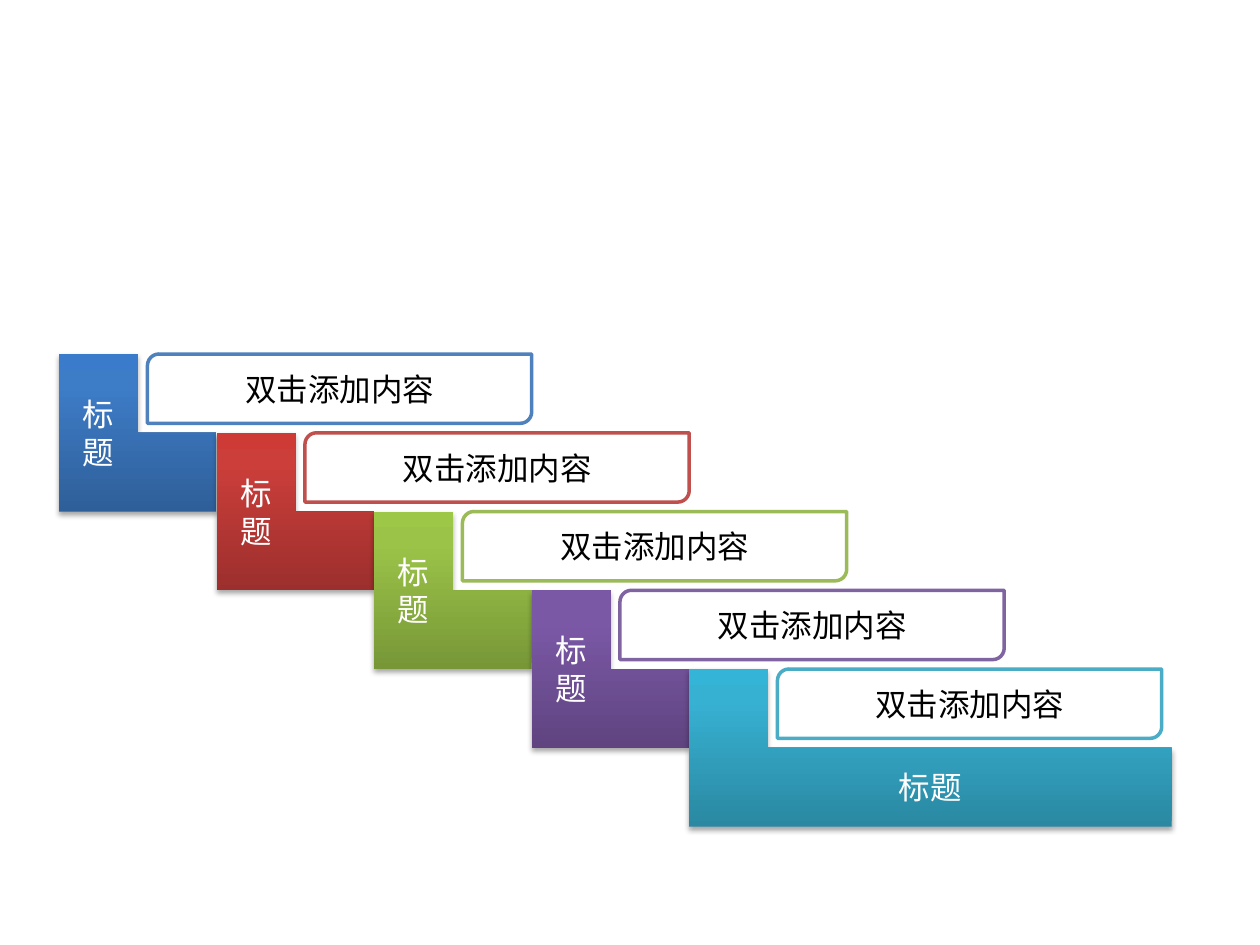
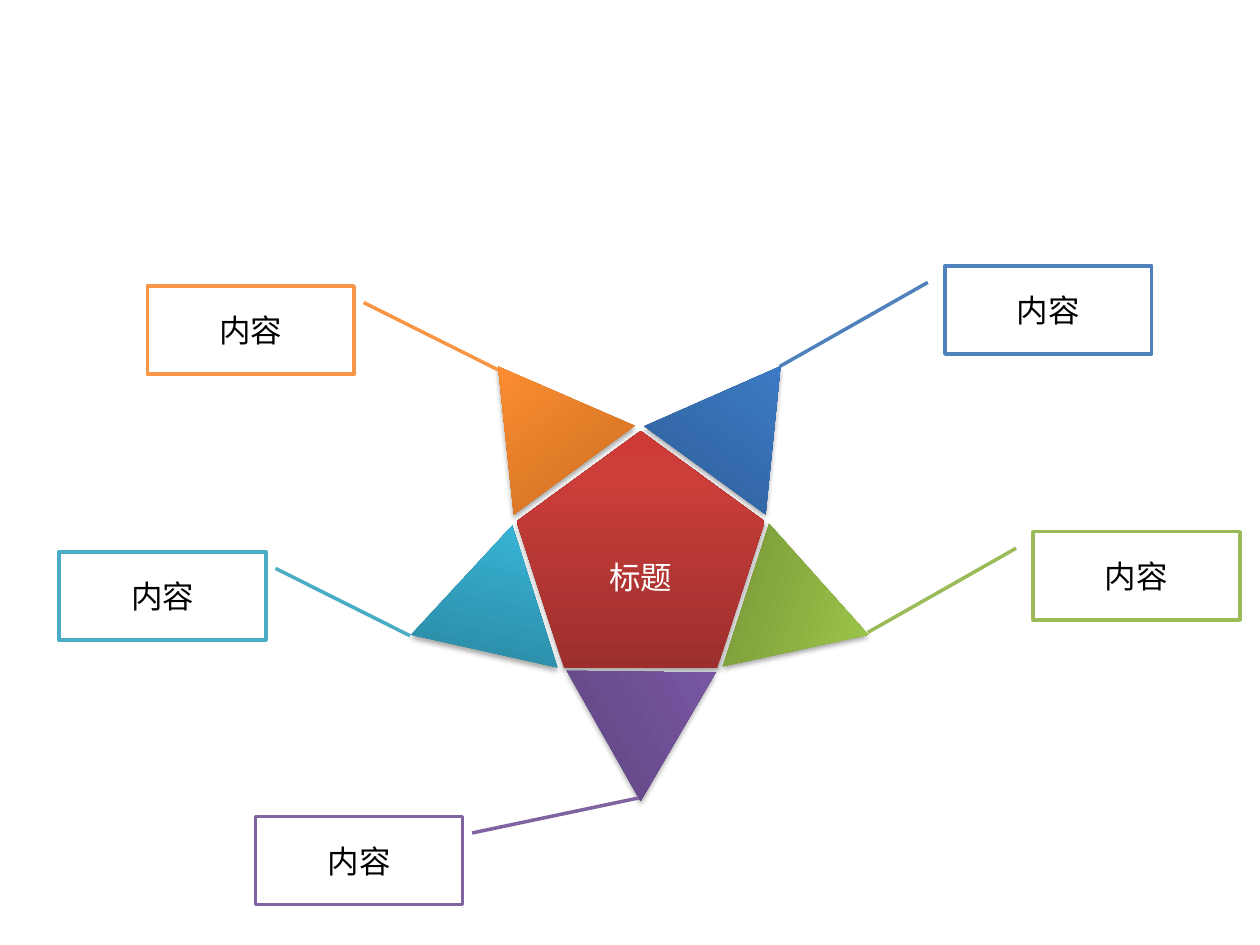
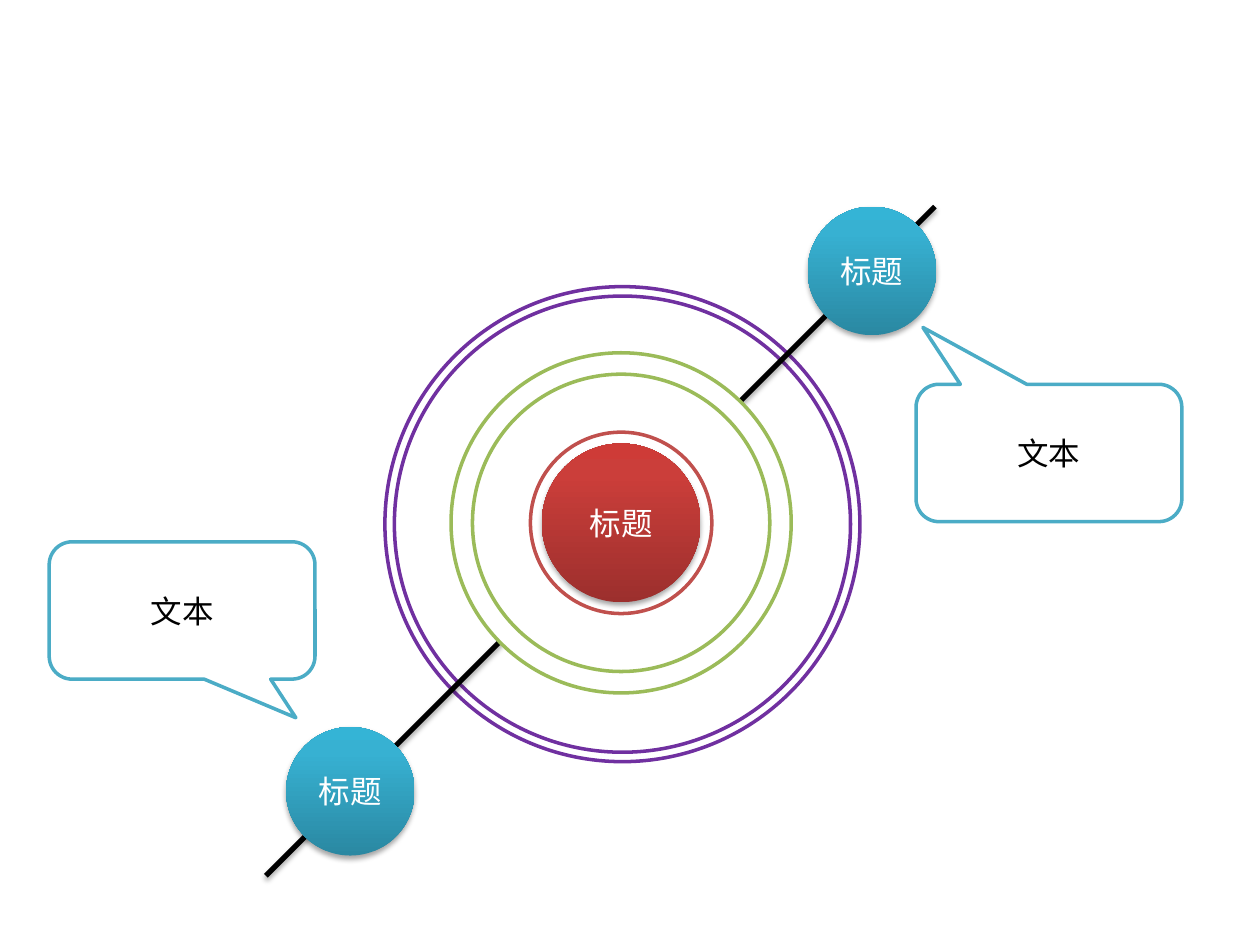
from dataclasses import dataclass

from lxml import etree
from pptx import Presentation
from pptx.dml.color import RGBColor
from pptx.enum.shapes import MSO_CONNECTOR, MSO_SHAPE
from pptx.enum.text import MSO_ANCHOR, PP_ALIGN
from pptx.oxml.ns import qn
from pptx.util import Inches, Pt

STRAIGHT = MSO_CONNECTOR.STRAIGHT
CORNER = MSO_SHAPE.CORNER
DIAGONAL_ROUND = MSO_SHAPE.ROUND_2_DIAG_RECTANGLE
TRIANGLE = MSO_SHAPE.ISOSCELES_TRIANGLE
PENTAGON = MSO_SHAPE.REGULAR_PENTAGON
OVAL = MSO_SHAPE.OVAL
LINE_CALLOUT = MSO_SHAPE.LINE_CALLOUT_1
BUBBLE = MSO_SHAPE.ROUNDED_RECTANGULAR_CALLOUT
MIDDLE = MSO_ANCHOR.MIDDLE
CENTER = PP_ALIGN.CENTER


@dataclass(frozen=True)
class Accent:
    line: str
    dark: str
    middle: str
    light: str


@dataclass(frozen=True)
class Theme:
    font: str = "Calibri"
    text_size: int = 18
    outline_width: int = 2
    axis_width: int = 3
    white: str = "FFFFFF"
    black: str = "000000"
    violet: str = "7030A0"
    blue: Accent = Accent("4F81BD", "2F5F99", "3D7CC7", "3A7CCB")
    red: Accent = Accent("C0504D", "9C2F2D", "CB3E3A", "CE3B37")
    green: Accent = Accent("9BBB59", "779737", "9BC348", "9DC746")
    purple: Accent = Accent("8064A2", "5F4480", "7B58A6", "7C57A8")
    teal: Accent = Accent("4BACC6", "2A88A2", "37B1D2", "34B4D6")
    orange: Accent = Accent("F79646", "CC6E20", "FF9034", "FF9136")


THEME = Theme()


def rgb(color):
    return RGBColor.from_string(color)


def add_color(parent, color):
    return etree.SubElement(parent, qn("a:srgbClr"), val=color)


def add_shadow(properties):
    """Put a soft shadow below the shape or connector with these properties."""
    effects = properties.find(qn("a:effectLst"))
    if effects is None:
        effects = etree.SubElement(properties, qn("a:effectLst"))
    shadow = etree.SubElement(
        effects, qn("a:outerShdw"), blurRad=str(Pt(3.1)), dist=str(Pt(1.8)),
        dir="5400000", rotWithShape="0")
    etree.SubElement(add_color(shadow, THEME.black), qn("a:alpha"), val="35000")


def set_gradient(shape, accent):
    shape.fill.gradient()
    shape.fill.gradient_angle = 90
    stops = shape._element.spPr.find(qn("a:gradFill")).find(qn("a:gsLst"))
    stops.clear()
    for percent, color in ((0, accent.dark), (80, accent.middle), (100, accent.light)):
        add_color(etree.SubElement(stops, qn("a:gs"), pos=str(percent * 1000)), color)


def set_text(shape, text, color):
    frame = shape.text_frame
    frame.vertical_anchor = MIDDLE
    paragraph = frame.paragraphs[0]
    paragraph.text = text
    paragraph.alignment = CENTER
    paragraph.font.name = THEME.font
    paragraph.font.size = Pt(THEME.text_size)
    paragraph.font.color.rgb = rgb(color)


def add_preset(shapes, preset, box, text, text_color):
    shape = shapes.add_shape(preset, *(Inches(length) for length in box))
    shape.shadow.inherit = False
    if text:
        set_text(shape, text, text_color)
    return shape


def add_solid(shapes, preset, box, accent, text="", rotation=0):
    """Add a gradient shape with a shadow and white text."""
    shape = add_preset(shapes, preset, box, text, THEME.white)
    set_gradient(shape, accent)
    shape.line.fill.background()
    shape.rotation = rotation
    add_shadow(shape._element.spPr)


def add_outlined(shapes, preset, box, color, text="", adjustments=(), filled=True):
    """Add a shape with a coloured outline and black text."""
    shape = add_preset(shapes, preset, box, text, THEME.black)
    if filled:
        shape.fill.solid()
        shape.fill.fore_color.rgb = rgb(THEME.white)
    else:
        shape.fill.background()
    shape.line.color.rgb = rgb(color)
    shape.line.width = Pt(THEME.outline_width)
    for index, value in enumerate(adjustments):
        shape.adjustments[index] = value


def add_axis(shapes, *ends):
    axis = shapes.add_connector(STRAIGHT, *(Inches(length) for length in ends))
    axis.line.color.rgb = rgb(THEME.black)
    axis.line.width = Pt(THEME.axis_width)
    add_shadow(axis._element.spPr)


def circle_box(center, diameter):
    return (center[0] - diameter / 2, center[1] - diameter / 2, diameter, diameter)


def build_staircase(shapes):
    accents = (THEME.blue, THEME.red, THEME.green, THEME.purple, THEME.teal)
    left, top, step_size, wide_step = 0.47, 2.81, 1.25, 3.83
    places = [(left + index * step_size, top + index * step_size / 2, accent)
              for index, accent in enumerate(accents)]
    for x, y, accent in places:
        width = wide_step if accent is accents[-1] else step_size
        add_solid(shapes, CORNER, (x, y, width, step_size), accent, "标题")
    for x, y, accent in places:
        add_outlined(shapes, DIAGONAL_ROUND, (x + 0.7, y, 3.05, 0.55),
                     accent.line, "双击添加内容")


def build_star(shapes):
    star = shapes.add_group_shape().shapes
    add_solid(star, PENTAGON, (4.1, 3.42, 1.97, 1.88), THEME.red, "标题")
    for x, y, rotation, accent in (
        (3.66, 2.81, 323.7, THEME.orange),
        (5.3, 2.81, 36, THEME.blue),
        (3.36, 4.16, 12.6, THEME.teal),
        (5.81, 4.37, 108, THEME.green),
        (4.64, 5.08, 60.5, THEME.purple),
    ):
        add_solid(star, TRIANGLE, (x, y, 1.19, 1.02), accent, rotation=rotation)

    # Leader line start and end, as y, x shares of the box
    to_left = (0.188, -0.083, 1.142, -0.8)
    to_right = (0.188, 1.047, 0.952, 1.698)
    to_bottom_point = (0.188, 1.047, -0.21, 1.854)
    for x, y, accent, leader in (
        (7.5, 2.11, THEME.blue, to_left),
        (8.2, 4.22, THEME.green, to_left),
        (1.17, 2.27, THEME.orange, to_right),
        (0.47, 4.38, THEME.teal, to_right),
        (2.03, 6.48, THEME.purple, to_bottom_point),
    ):
        add_outlined(shapes, LINE_CALLOUT, (x, y, 1.64, 0.7), accent.line, "内容", leader)


def build_orbits(shapes):
    orbit_center, core_center = (4.94, 4.16), (4.93, 4.15)
    for diameter in (3.77, 3.62):
        add_outlined(shapes, OVAL, circle_box(orbit_center, diameter),
                     THEME.violet, filled=False)
    add_axis(shapes, 2.11, 6.95, 7.42, 1.64)
    for diameter, accent in ((2.7, THEME.green), (2.36, THEME.green), (1.44, THEME.red)):
        add_outlined(shapes, OVAL, circle_box(core_center, diameter), accent.line)
    for center, diameter, accent in (
        (core_center, 1.26, THEME.red),
        ((2.78, 6.28), 1.02, THEME.teal),
        ((6.92, 2.15), 1.02, THEME.teal),
    ):
        add_solid(shapes, OVAL, circle_box(center, diameter), accent, "标题")
    for x, y, pointer in ((0.39, 4.3, (0.428, 0.781, 0.167)),
                          (7.27, 3.05, (-0.474, -0.914, 0.167))):
        add_outlined(shapes, BUBBLE, (x, y, 2.11, 1.09), THEME.teal.line, "文本", pointer)


def main():
    presentation = Presentation()
    presentation.slide_width = Inches(10)
    presentation.slide_height = Inches(7.5)
    blank_layout = presentation.slide_layouts[6]
    for build in (build_staircase, build_star, build_orbits):
        build(presentation.slides.add_slide(blank_layout).shapes)
    presentation.save("out.pptx")


if __name__ == "__main__":
    main()
